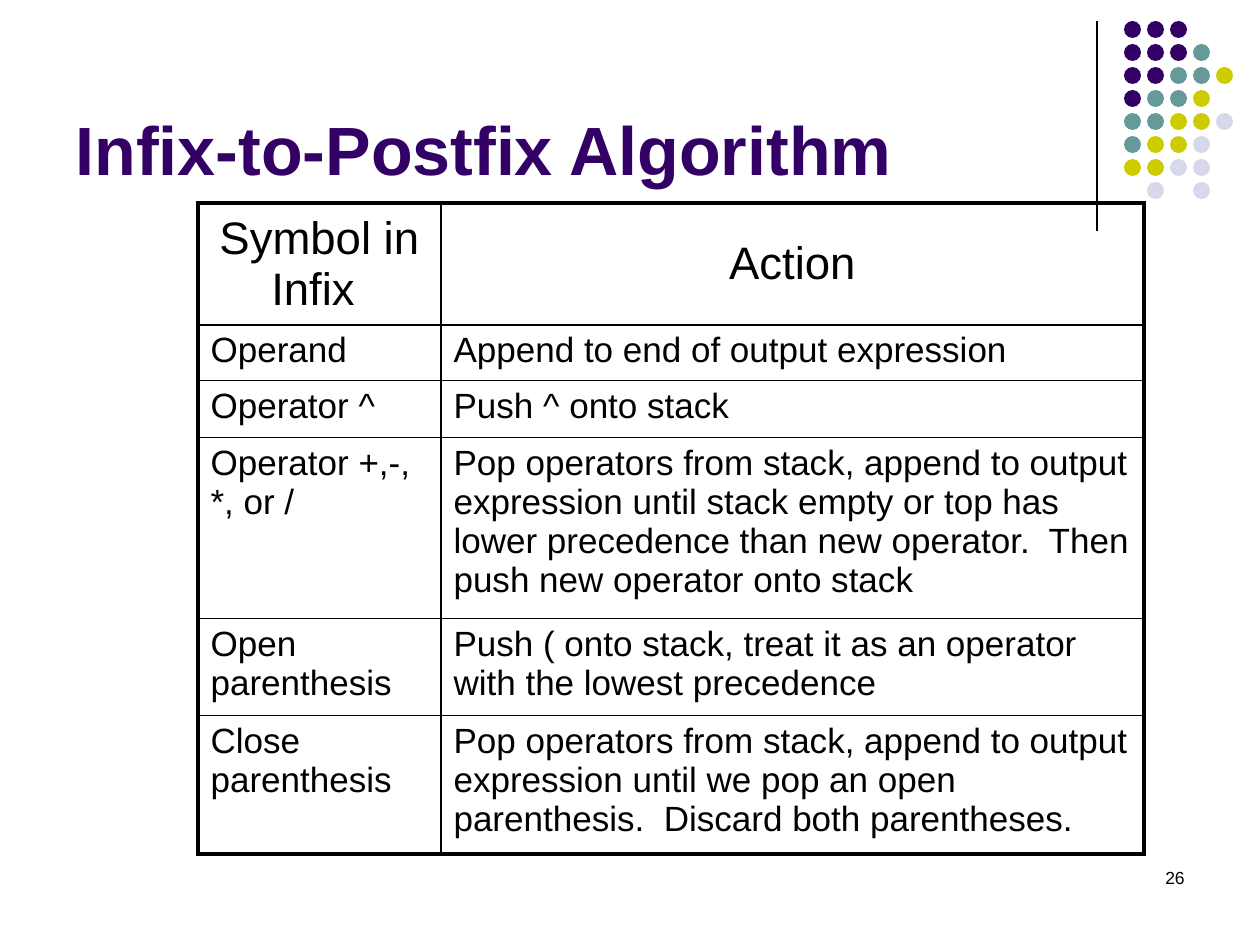
from lxml import etree
from pptx import Presentation
from pptx import util as u
from pptx.dml.color import RGBColor
from pptx.enum import shapes, text
from pptx.oxml import ns

COLORS = {
    "black": "000000",
    "purple": "330066",
    "teal": "669999",
    "olive": "CCCC00",
    "lilac": "D8D8EC",
}
FONT = "Arial"
SCALE = 914400 / 126  # EMU in one px
THICK, THIN = 2.25, 1

# One letter per dot: purple, teal, olive, lilac; a dot means no circle
DOT_COLORS = {"P": "purple", "T": "teal", "O": "olive", "L": "lilac"}
DOT_ROWS = ["PPP", "PPPT", "PPTTO", "PTTO", "TTOOL", "TOOL", "OOLL", ".L.L"]
DOT_PITCH, DOT_SIZE = 23, 17

COLUMN_WIDTHS = [243, 703]
ROW_HEIGHTS = [114, 56, 57, 180, 97, 130]
ROWS = [
    ("Symbol in Infix ", "Action"),
    ("Operand", "Append to end of output expression"),
    ("Operator ^", "Push ^ onto stack"),
    ("Operator +,-,\v*, or /",
     "Pop operators from stack, append to output expression until stack empty "
     "or top has lower precedence than new operator.  Then push new operator onto stack"),
    ("Open parenthesis",
     "Push ( onto stack, treat it as an operator with the lowest precedence"),
    ("Close parenthesis",
     "Pop operators from stack, append to output expression until we pop an open "
     "parenthesis.  Discard both parentheses."),
]


def px(length):
    return u.Emu(round(length * SCALE))


def rgb(name):
    return RGBColor.from_string(COLORS[name])


def write(frame, words, size=20, color="black", bold=False,
          align=text.PP_ALIGN.LEFT, anchor=text.MSO_ANCHOR.TOP):
    frame.word_wrap = True
    frame.vertical_anchor = anchor
    para = frame.paragraphs[0]
    para.text = words
    para.alignment = align
    for span in para.runs:
        span.font.name = FONT
        span.font.size = u.Pt(size)
        span.font.bold = bold
        span.font.color.rgb = rgb(color)


class SlideBuilder:
    def __init__(self, deck):
        self.slide = deck.slides.add_slide(deck.slide_layouts[5])
        self.shapes = self.slide.shapes

    def title(self, words, left, top, width, height, **style):
        box = self.shapes.title
        box.left, box.top, box.width, box.height = map(px, (left, top, width, height))
        box.text_frame.auto_size = text.MSO_AUTO_SIZE.NONE
        write(box.text_frame, words, **style)

    def label(self, words, left, top, width, height, **style):
        box = self.shapes.add_textbox(*map(px, (left, top, width, height)))
        write(box.text_frame, words, **style)

    def line(self, x1, y1, x2, y2, points, color="black"):
        line = self.shapes.add_connector(
            shapes.MSO_CONNECTOR.STRAIGHT, *map(px, (x1, y1, x2, y2)))
        line.line.width = u.Pt(points)
        line.line.color.rgb = rgb(color)
        etree.SubElement(line._element.spPr, ns.qn("a:effectLst"))

    def dot(self, left, top, size, color):
        dot = self.shapes.add_shape(
            shapes.MSO_SHAPE.OVAL, *map(px, (left, top, size, size)))
        dot.shadow.inherit = False
        dot.fill.solid()
        dot.fill.fore_color.rgb = rgb(color)
        dot.line.fill.background()

    def border(self, cell, side, points, color="black"):
        edge = etree.SubElement(cell._tc.get_or_add_tcPr(), ns.qn("a:ln" + side),
                                w=str(u.Pt(points)))
        fill = etree.SubElement(edge, ns.qn("a:solidFill"))
        etree.SubElement(fill, ns.qn("a:srgbClr"), val=COLORS[color])

    def table(self, rows, left, top, widths, heights):
        table = self.shapes.add_table(
            len(rows), len(widths),
            *map(px, (left, top, sum(widths), sum(heights)))).table
        table.first_row = table.horz_banding = False
        for column, width in zip(table.columns, widths):
            column.width = px(width)
        for row, height in zip(table.rows, heights):
            row.height = px(height)
        last_row, last_column = len(rows) - 1, len(widths) - 1
        for r, row in enumerate(rows):
            for c, words in enumerate(row):
                cell = table.cell(r, c)
                outer = {"L": c == 0, "R": c == last_column,
                         "T": r == 0, "B": r == last_row}
                for side, is_outer in outer.items():
                    self.border(cell, side, THICK if is_outer else THIN)
                cell.fill.background()
                if r == 0:
                    write(cell.text_frame, words, size=26, align=text.PP_ALIGN.CENTER)
                    cell.vertical_anchor = text.MSO_ANCHOR.MIDDLE
                else:
                    write(cell.text_frame, words)


def main():
    deck = Presentation()
    deck.slide_width, deck.slide_height = u.Inches(10), u.Inches(7.5)
    page = SlideBuilder(deck)

    # Corner decoration
    page.line(1097, 21, 1097, 231, 0.75)
    for r, row in enumerate(DOT_ROWS):
        for c, letter in enumerate(row):
            if letter in DOT_COLORS:
                page.dot(1124 + c * DOT_PITCH, 21 + r * DOT_PITCH, DOT_SIZE,
                         DOT_COLORS[letter])

    # Page number and title
    page.label("26", 903, 861, 294, 63, size=10, align=text.PP_ALIGN.RIGHT)
    page.title("Infix-to-Postfix Algorithm", 63, 16, 1040, 179, size=39,
               color="purple", bold=True, anchor=text.MSO_ANCHOR.BOTTOM)

    # Rules of the algorithm
    page.table(ROWS, 198, 203, COLUMN_WIDTHS, ROW_HEIGHTS)

    deck.save("out.pptx")


if __name__ == "__main__":
    main()
